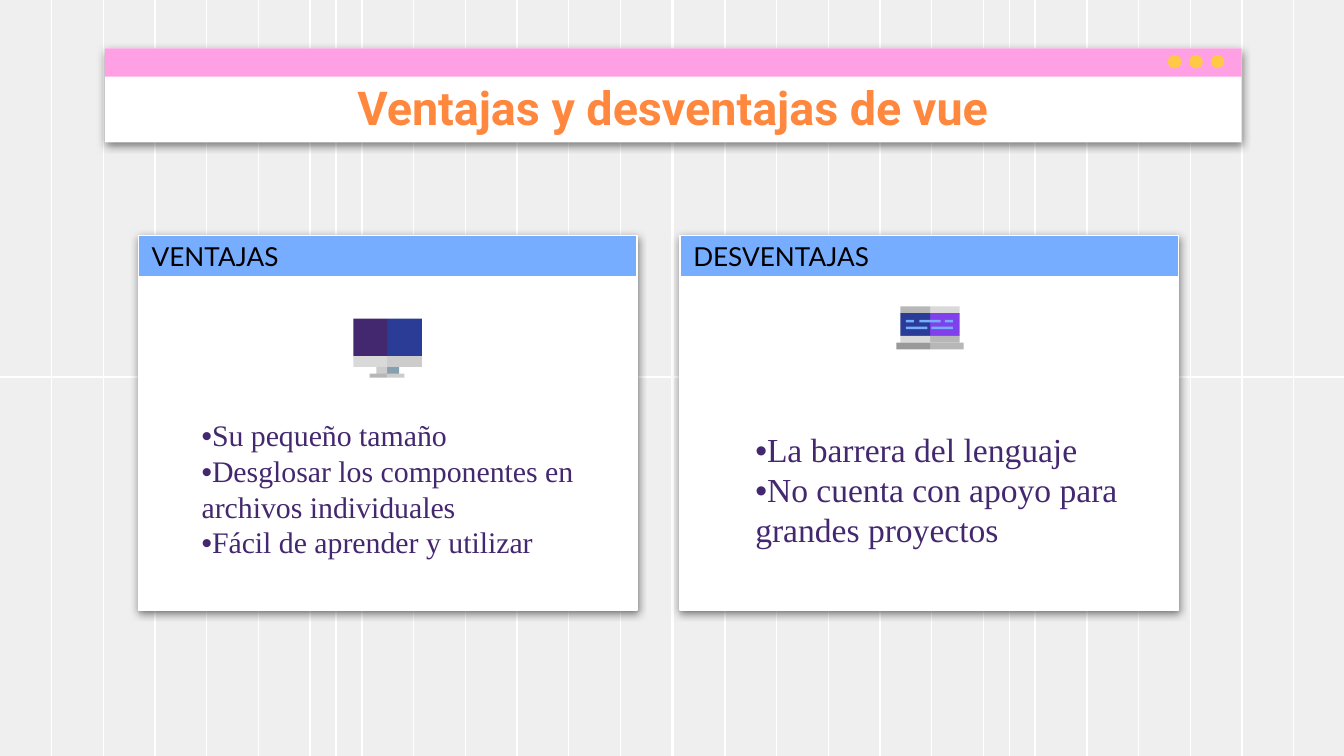
import pptx
import pptx.dml.color
import pptx.enum.shapes
import pptx.enum.text
import pptx.oxml
import pptx.util
from pptx.util import Inches

SHAPE = pptx.enum.shapes.MSO_SHAPE
ALIGN = pptx.enum.text.PP_ALIGN
ANCHOR = pptx.enum.text.MSO_ANCHOR
NS = 'xmlns:a="http://schemas.openxmlformats.org/drawingml/2006/main"'
CARD_SHADOW = (
    f'<a:outerShdw {NS} blurRad="57150" dist="19050" dir="5400000" algn="bl" rotWithShape="0">'
    '<a:srgbClr val="000000"><a:alpha val="50000"/></a:srgbClr></a:outerShdw>'
)
WIDTH = 10
HEIGHT = WIDTH * 9 / 16


def rgb(color):
    return pptx.dml.color.RGBColor.from_string(color)


def add_block(box, fill, line=None, kind=SHAPE.RECTANGLE, shadow=False):
    """Add a filled shape; box is left, top, width, height in inches."""
    sp = s.shapes.add_shape(kind, *map(Inches, box))
    sp.shadow.inherit = False
    if shadow:
        sp._element.spPr.find(pptx.oxml.ns.qn("a:effectLst")).append(
            pptx.oxml.parse_xml(CARD_SHADOW))
    sp.fill.solid()
    sp.fill.fore_color.rgb = rgb(fill)
    if line:
        sp.line.color.rgb = rgb(line)
        sp.line.width = pptx.util.Pt(0.75)
    else:
        sp.line.fill.background()
    return sp


prs = pptx.Presentation()
prs.slide_width, prs.slide_height = Inches(WIDTH), Inches(HEIGHT)
s = prs.slides.add_slide(prs.slide_layouts[6])
s.background.fill.solid()
s.background.fill.fore_color.rgb = rgb("EFEFEF")

# Background grid: two halves side by side, each split at mid height
STEP, HALF, MID = 5 / 13, 5.01, 2.81
grid = []
for left in (0, HALF):
    first = 0 if left else 1
    for top, bottom in ((0, MID), (MID, HEIGHT)):
        for i in range(first, first + 13):
            grid.append((left + i * STEP, top, left + i * STEP, bottom))
    grid.append((left + 2.5, 0, left + 2.5, HEIGHT))
    for y in (2.8, MID):
        grid.append((left, y, min(left + HALF, WIDTH), y))
for ends in grid:
    c = s.shapes.add_connector(
        pptx.enum.shapes.MSO_CONNECTOR.STRAIGHT, *map(Inches, ends))
    c.line.color.rgb = rgb("FFFFFF")
    c.line.width = pptx.util.Pt(0.75)
    c._element.spPr.append(pptx.oxml.parse_xml(f"<a:effectLst {NS}/>"))

# Title window
add_block((0.78, 0.36, 8.46, 0.7), "FFFFFF", shadow=True)
add_block((0.78, 0.36, 8.46, 0.21), "FFA0E4")
for i in range(3):
    add_block((8.69 + 0.16 * i, 0.41, 0.1, 0.1), "FFC946", kind=SHAPE.OVAL)

tb = s.shapes.add_textbox(Inches(0.79), Inches(0.49), Inches(8.43), Inches(0.63))
tf = tb.text_frame
tf.word_wrap = True
tf.margin_left = tf.margin_right = tf.margin_top = tf.margin_bottom = Inches(0.1)
p = tf.paragraphs[0]
p.alignment = ALIGN.CENTER
r = p.add_run()
r.text = "Ventajas y desventajas de vue"
r.font.name, r.font.size, r.font.bold = "Roboto", pptx.util.Pt(25), True
r.font.color.rgb = rgb("FF873E")

# Cards: left edge, heading, list box, list top inset, text size, items
cards = [
    (1.03, "VENTAJAS", (1.25, 2.76, 3.18, 1), 0.34, 16,
     ["Su pequeño tamaño",
      "Desglosar los componentes en archivos individuales",
      "Fácil de aprender y utilizar"]),
    (5.06, "DESVENTAJAS", (5.37, 3.09, 3.1, 1.71), 0.1, 18,
     ["La barrera del lenguaje",
      "No cuenta con apoyo para grandes proyectos"]),
]
for left, heading, box, inset, size, items in cards:
    add_block((left, 1.75, 3.71, 2.79), "FFFFFF", "FFFFFF", shadow=True)
    sp = add_block((left, 1.75, 3.71, 0.31), "76ADFF", "FFFFFF")
    tf = sp.text_frame
    tf.margin_left = tf.margin_right = tf.margin_top = tf.margin_bottom = Inches(0.1)
    tf.vertical_anchor = ANCHOR.MIDDLE
    p = tf.paragraphs[0]
    p.alignment = ALIGN.LEFT
    r = p.add_run()
    r.text = heading
    r.font.name, r.font.size = "Lato", pptx.util.Pt(14)
    r.font.color.rgb = rgb("000000")

    tf = s.shapes.add_textbox(*map(Inches, box)).text_frame
    tf.word_wrap = True
    tf.margin_left, tf.margin_top = Inches(0.25), Inches(inset)
    tf.margin_right = tf.margin_bottom = Inches(0.1)
    for i, item in enumerate(items):
        p = tf.add_paragraph() if i else tf.paragraphs[0]
        for text, font in (("•", "Arial"), (item, "Times New Roman")):
            r = p.add_run()
            r.text = text
            r.font.name, r.font.size = font, pptx.util.Pt(size)
            r.font.color.rgb = rgb("44286F")

laptop = [
    ((6.92, 2.28, 0.22, 0.05), "D9D9D9"),
    ((6.7, 2.28, 0.22, 0.05), "B7B7B7"),
    ((6.92, 2.33, 0.22, 0.17), "8041ED"),
    ((6.7, 2.33, 0.22, 0.17), "2A3C95"),
    ((6.93, 2.43, 0.16, 0.02), "76ADFF"),
    ((6.74, 2.43, 0.16, 0.02), "76ADFF"),
    ((6.74, 2.38, 0.06, 0.02), "76ADFF"),
    ((6.84, 2.38, 0.08, 0.02), "76ADFF"),
    ((6.92, 2.38, 0.08, 0.02), "76ADFF"),
    ((7.03, 2.38, 0.06, 0.02), "76ADFF"),
    ((6.92, 2.5, 0.22, 0.05), "B7B7B7"),
    ((6.7, 2.5, 0.22, 0.05), "D9D9D9"),
    ((6.92, 2.55, 0.25, 0.05), "B7B7B7"),
    ((6.67, 2.55, 0.25, 0.05), "999999"),
]
monitor = [
    ((2.88, 2.37, 0.26, 0.28), "2A3C95"),
    ((2.63, 2.37, 0.25, 0.28), "44286F"),
    ((2.88, 2.73, 0.09, 0.06), "87A0AF"),
    ((2.8, 2.73, 0.08, 0.06), "CCCCCC"),
    ((2.88, 2.78, 0.13, 0.03), "CCCCCC"),
    ((2.75, 2.78, 0.13, 0.03), "B7B7B7"),
    ((2.88, 2.65, 0.26, 0.08), "CCCCCC"),
    ((2.63, 2.65, 0.25, 0.08), "D9D9D9"),
]
for box, fill in laptop + monitor:
    add_block(box, fill)

prs.save("out.pptx")
